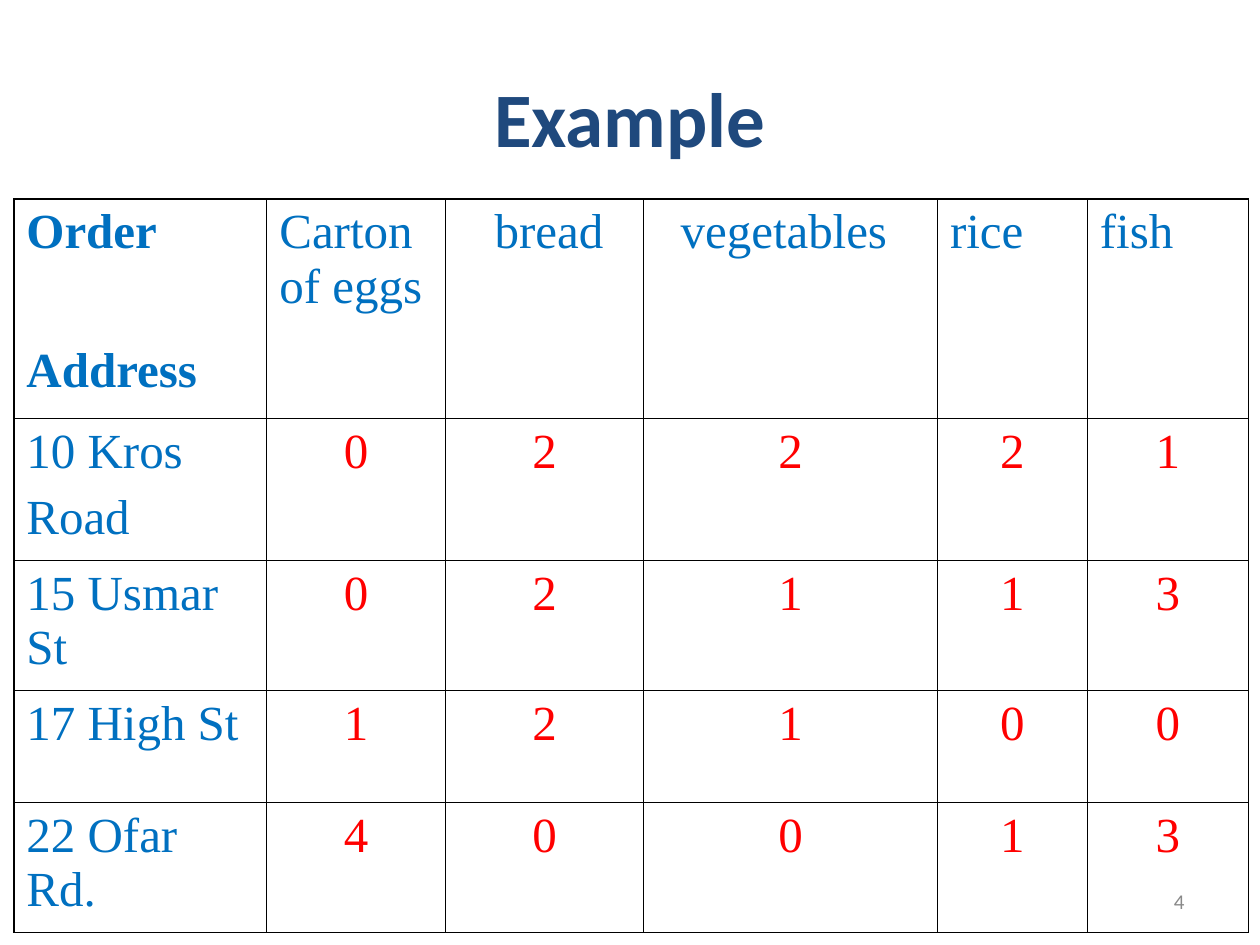
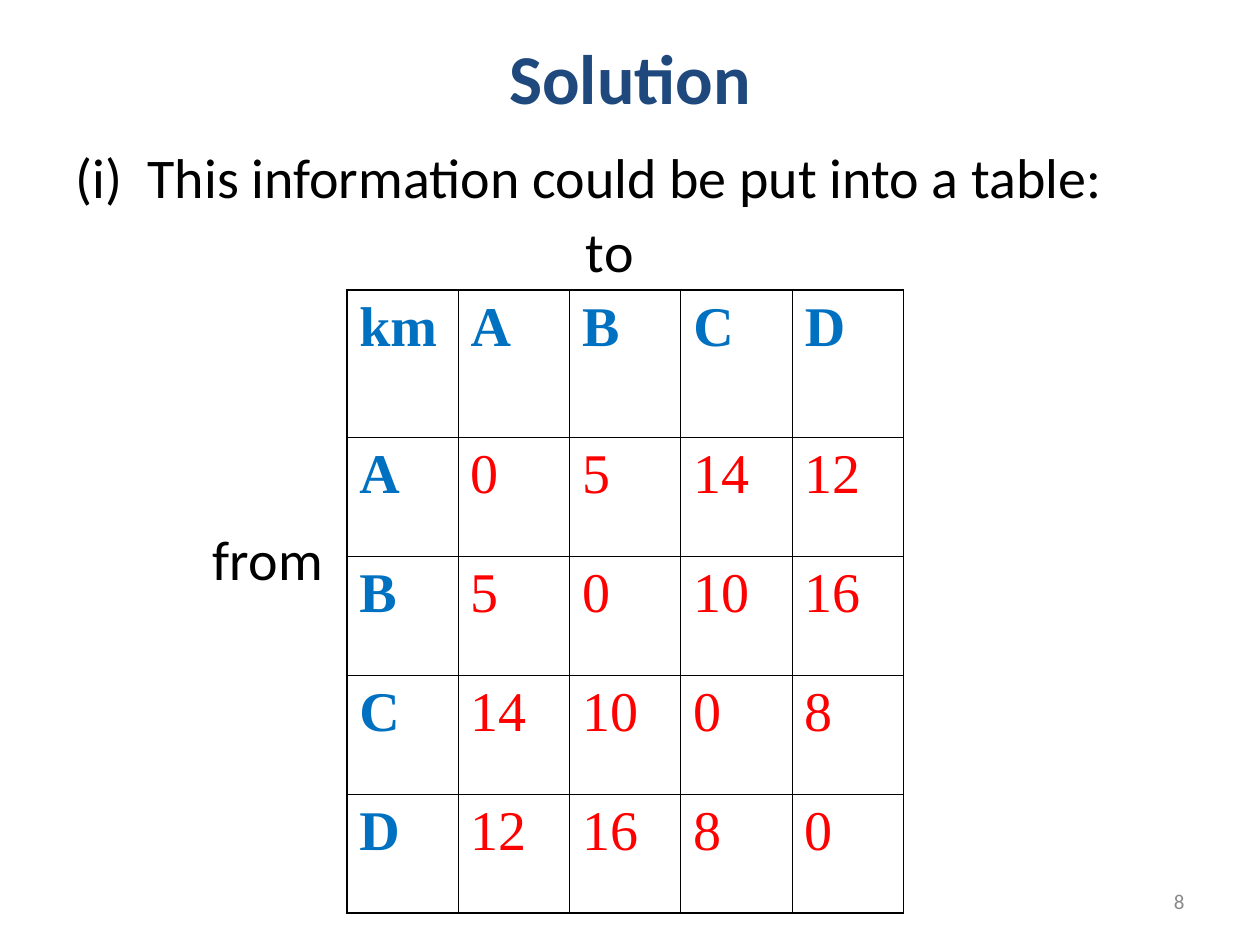
from lxml.etree import SubElement as Sub
from pptx import Presentation
from pptx.dml.color import RGBColor as Rgb
from pptx.enum.text import MSO_ANCHOR as Anchor, MSO_AUTO_SIZE as AutoSize, PP_ALIGN as Align
from pptx.oxml import parse_xml
from pptx.oxml.ns import nsdecls, qn
from pptx.util import Cm, Pt

COLORS = {"title": "1F497D", "heading": "0070C0", "value": "FF0000",
          "text": "000000", "number": "898989", "border": "000000"}
SANS, SERIF = "Calibri", "Times New Roman"
TITLE_ONLY, TITLE_AND_CONTENT = 5, 1
THIN, THICK = 0.45, 1.08

ORDERS = [
    ["Order\nAddress", "Carton of eggs", "bread", "vegetables", "rice", "fish"],
    ["10 Kros\nRoad", "0", "2", "2", "2", "1"],
    ["15 Usmar St", "0", "2", "1", "1", "3"],
    ["17 High St", "1", "2", "1", "0", "0"],
    ["22 Ofar Rd.", "4", "0", "0", "1", "3"],
]
TOWNS = "ABCD"
DISTANCES = [[0, 5, 14, 12], [5, 0, 10, 16], [14, 10, 0, 8], [12, 16, 8, 0]]


def place(shape, left, top, width, height):
    shape.left, shape.top = Cm(left), Cm(top)
    shape.width, shape.height = Cm(width), Cm(height)


def style(para, font, size, color, bold=False, align=Align.LEFT):
    para.alignment = align
    for span in para.runs:
        span.font.name, span.font.size, span.font.bold = font, Pt(size), bold
        span.font.color.rgb = Rgb.from_string(COLORS[color])


def indent(para, margin, first_line=0):
    properties = para._p.get_or_add_pPr()
    properties.set("marL", str(Cm(margin)))
    properties.set("indent", str(Cm(first_line)))
    return properties


def add_title(page, text, size, height):
    title = page.shapes.title
    place(title, 1.27, 0.76, 22.86, height)
    frame = title.text_frame
    frame.text = text
    frame.auto_size = AutoSize.NONE
    frame.vertical_anchor = Anchor.MIDDLE
    style(frame.paragraphs[0], SANS, size, "title", True, Align.CENTER)


def add_statement(page, text):
    body = page.placeholders[1]
    place(body, 1.27, 2.74, 22.86, 16.31)
    frame = body.text_frame
    frame.text = text
    frame.auto_size = AutoSize.NONE
    para = frame.paragraphs[0]
    Sub(indent(para, 1.45, -1.45), qn("a:buNone"))
    para.space_before = Pt(0)
    style(para, SANS, 32, "text")


def add_label(page, text, left, top, width, height=1.63, size=32,
              color="text", align=Align.LEFT, anchor=Anchor.TOP):
    box = page.shapes.add_textbox(Cm(left), Cm(top), Cm(width), Cm(height))
    frame = box.text_frame
    frame.text = text
    frame.word_wrap = True
    frame.vertical_anchor = anchor
    style(frame.paragraphs[0], SANS, size, color, align=align)


def add_page_number(page, number):
    add_label(page, str(number), 18.21, 17.65, 5.92, 1.02, 12, "number",
              Align.RIGHT, Anchor.MIDDLE)


def draw_borders(cell, widths):
    properties = cell._tc.get_or_add_tcPr()
    for position, (side, width) in enumerate(zip("LRTB", widths)):
        properties.insert(position, parse_xml(
            f'<a:ln{side} {nsdecls("a")} w="{Pt(width)}"><a:solidFill>'
            f'<a:srgbClr val="{COLORS["border"]}"/></a:solidFill></a:ln{side}>'))


def add_grid(page, rows, left, top, widths, heights, size, bold_headings, value_align):
    last_row, last_column = len(rows) - 1, len(widths) - 1
    frame = page.shapes.add_table(len(rows), len(widths), Cm(left), Cm(top),
                                  Cm(sum(widths)), Cm(sum(heights)))
    table = frame.table
    table.first_row = table.horz_banding = False
    for column, width in zip(table.columns, widths):
        column.width = Cm(width)
    for row, height in zip(table.rows, heights):
        row.height = Cm(height)
    for r, texts in enumerate(rows):
        for c, text in enumerate(texts):
            cell = table.cell(r, c)
            cell.text = text
            cell.fill.background()
            edges = (c == 0, c == last_column, r == 0, r == last_row)
            draw_borders(cell, [THICK if edge else THIN for edge in edges])
            heading = r == 0 or c == 0
            for para in cell.text_frame.paragraphs:
                style(para, SERIF, size, "heading" if heading else "value",
                      heading and bold_headings, Align.LEFT if heading else value_align)
    return table


def add_order_table(page):
    table = add_grid(page, ORDERS, 0.28, 4.01, [5.1, 3.6, 4, 5.92, 3.02, 3.25],
                     [4.42, 2.87, 2.62, 2.26, 2.62], 28, False, Align.CENTER)
    corner = table.cell(0, 0).text_frame.paragraphs
    for para in corner:
        style(para, SERIF, 28, "heading", True)
    corner[1].space_before = Pt(48)
    table.cell(1, 0).text_frame.paragraphs[1].space_before = Pt(7)
    for column, margin in ((2, 0.74), (3, 0.49)):
        indent(table.cell(0, column).text_frame.paragraphs[0], margin)


def add_distance_table(page):
    rows = [["km", *TOWNS]]
    rows += [[town, *map(str, values)] for town, values in zip(TOWNS, DISTANCES)]
    add_grid(page, rows, 6.99, 5.84, [2.245] * 5, [2.97] + [2.4] * 4, 32, True, Align.LEFT)


def main():
    deck = Presentation()
    deck.slide_width, deck.slide_height = Cm(25.4), Cm(19.05)

    example = deck.slides.add_slide(deck.slide_layouts[TITLE_ONLY])
    add_title(example, "Example", 44, 3.18)
    add_order_table(example)
    add_page_number(example, 4)

    solution = deck.slides.add_slide(deck.slide_layouts[TITLE_AND_CONTENT])
    add_title(solution, "Solution", 40, 1.57)
    add_statement(solution, "(i)\tThis information could be put into a table:")
    add_page_number(solution, 8)
    add_distance_table(solution)
    add_label(solution, "to", 11.56, 4.24, 2.41)
    add_label(solution, "from", 4.04, 10.44, 3.99)

    deck.save("out.pptx")


if __name__ == "__main__":
    main()
